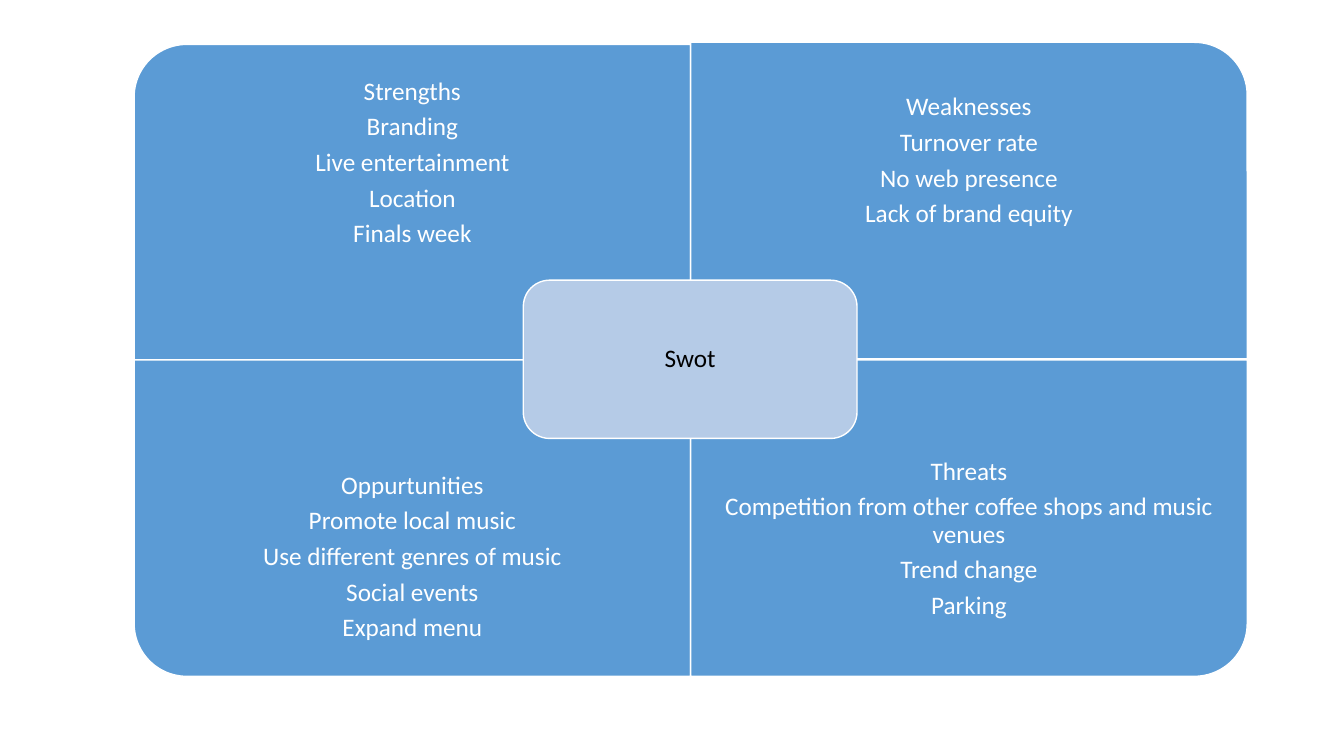
from pptx import Presentation
from pptx.dml.color import RGBColor
from pptx.enum.shapes import MSO_SHAPE as Kind
from pptx.enum.text import MSO_ANCHOR as Anchor, PP_ALIGN as Align
from pptx.util import Inches, Pt

BLUE = RGBColor(0x5B, 0x9B, 0xD5)
PALE = RGBColor(0xB5, 0xCB, 0xE7)
WHITE = RGBColor(0xFF, 0xFF, 0xFF)
BLACK = RGBColor(0x00, 0x00, 0x00)

WIDE, HIGH = 5.52, 3.14
TALL = 2.36  # text area of a panel
LEFT, MID = 1.33, 6.85
LOW = 3.57

PANELS = [  # left, top, turn, text top, bottom inset, lines
    (LEFT, 0.44, 270, 0.44, 0.14,
     ["Strengths", "Branding", "Live entertainment", "Location", "Finals week"]),
    (MID, 0.42, 0, 0.42, 0.14,
     ["Weaknesses", "Turnover rate", "No web presence", "Lack of brand equity"]),
    (LEFT, LOW, 180, 4.35, 0.14,
     ["Oppurtunities", "Promote local music", "Use different genres of music",
      "Social events", "Expand menu"]),
    (MID, LOW, 90, 4.35, 0.5,
     ["Threats", "Competition from other coffee shops and music venues",
      "Trend change", "Parking"]),
]

prs = Presentation()
prs.slide_width, prs.slide_height = Inches(13.33), Inches(7.5)
slide = prs.slides.add_slide(prs.slide_layouts[6])


def add_box(kind, left, top, width, height, fill):
    box = slide.shapes.add_shape(
        kind, Inches(left), Inches(top), Inches(width), Inches(height))
    box.shadow.inherit = False
    box.fill.solid()
    box.fill.fore_color.rgb = fill
    box.line.color.rgb = WHITE
    box.line.width = Pt(1)
    return box


def write(shape, lines, color, pad, base):
    """Fill a shape with centred lines; base is the bottom inset."""
    frame = shape.text_frame
    style = {"word_wrap": True, "vertical_anchor": Anchor.MIDDLE,
             "margin_left": Inches(pad), "margin_right": Inches(pad),
             "margin_top": Inches(pad), "margin_bottom": Inches(base)}
    for name, value in style.items():
        setattr(frame, name, value)
    frame.text = "\n".join(lines)
    for para in frame.paragraphs:
        para.alignment = Align.CENTER
        para.line_spacing = 0.9
        para.space_after = Pt(6)
        font = para.runs[0].font
        font.name, font.size = "Calibri", Pt(18)
        font.color.rgb = color


for left, top, turn, head, base, lines in PANELS:
    # A quarter turn swaps the sides about the panel's centre
    wide, high = (HIGH, WIDE) if turn % 180 else (WIDE, HIGH)
    panel = add_box(Kind.ROUND_1_RECTANGLE, left + (WIDE - wide) / 2,
                    top + (HIGH - high) / 2, wide, high, BLUE)
    panel.rotation = turn
    text = slide.shapes.add_textbox(
        Inches(left), Inches(head), Inches(WIDE), Inches(TALL))
    write(text, lines, WHITE, 0.14, base)

core = add_box(Kind.ROUNDED_RECTANGLE, 5.19, 2.78, 3.31, 1.57, PALE)
write(core, ["Swot"], BLACK, 0.07, 0.07)

prs.save("out.pptx")
